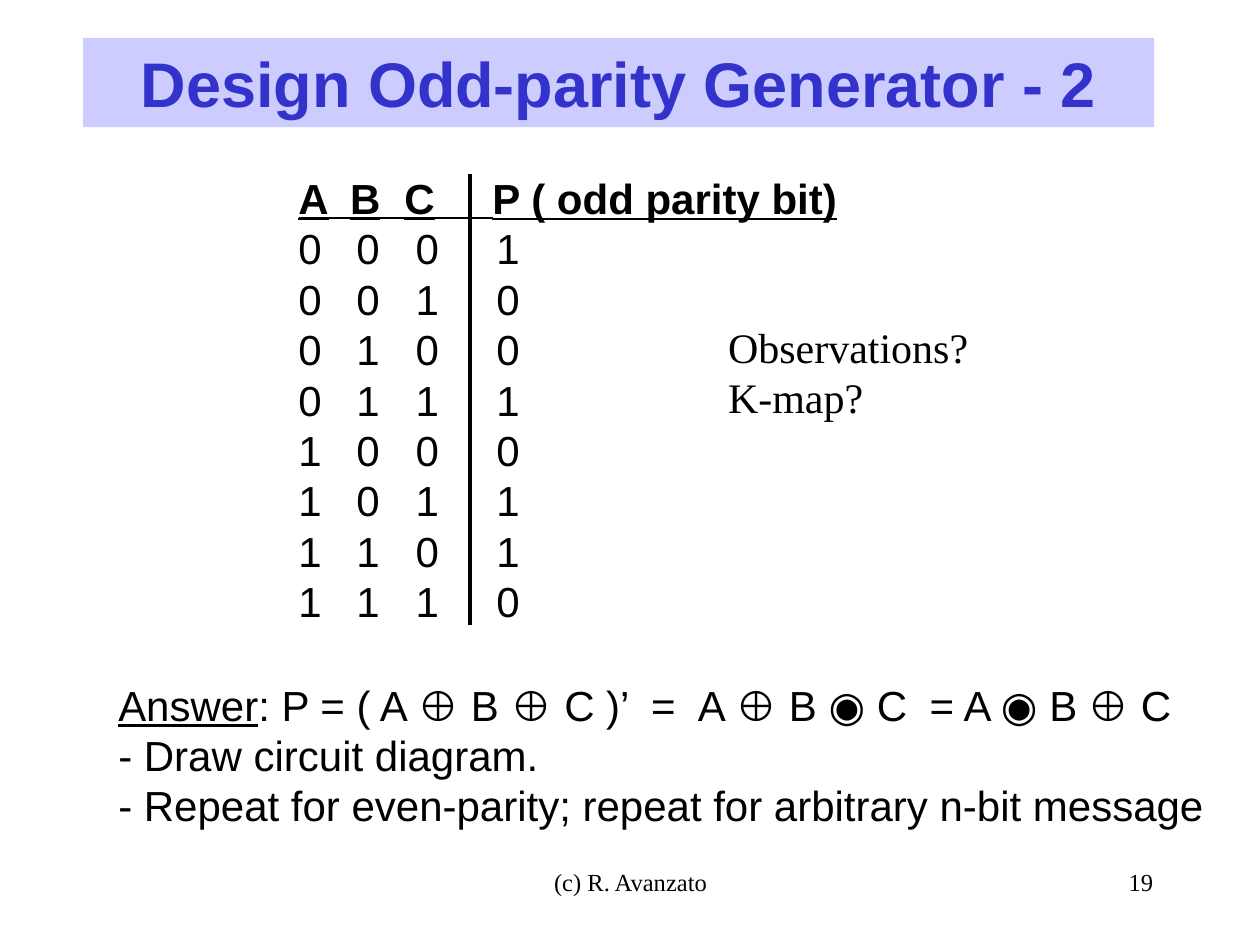
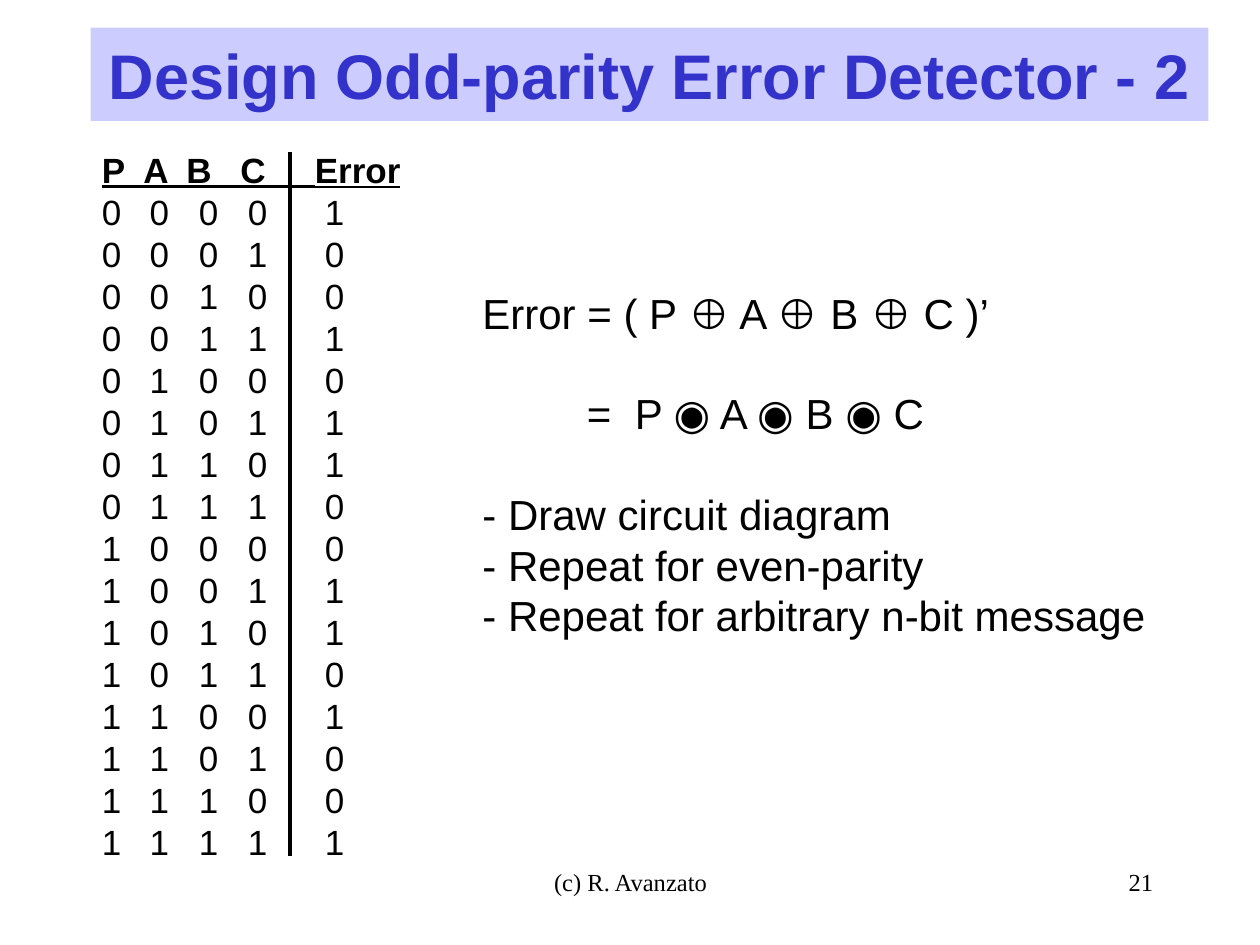
from dataclasses import dataclass
from itertools import product

from lxml import etree
from pptx import Presentation
from pptx.dml.color import RGBColor
from pptx.enum.shapes import MSO_CONNECTOR
from pptx.enum.text import MSO_ANCHOR, MSO_AUTO_SIZE, PP_ALIGN
from pptx.oxml.ns import qn
from pptx.util import Inches, Pt

LEFT, CENTER, RIGHT = PP_ALIGN.LEFT, PP_ALIGN.CENTER, PP_ALIGN.RIGHT
MIDDLE, TOP = MSO_ANCHOR.MIDDLE, MSO_ANCHOR.TOP
FIT_SHAPE, NO_FIT = MSO_AUTO_SIZE.SHAPE_TO_FIT_TEXT, MSO_AUTO_SIZE.NONE
STRAIGHT = MSO_CONNECTOR.STRAIGHT
TITLE_ONLY = 5


@dataclass(frozen=True)
class Theme:
    ink: RGBColor = RGBColor(0x00, 0x00, 0x00)
    title: RGBColor = RGBColor(0x33, 0x33, 0xCC)
    band: RGBColor = RGBColor(0xCC, 0xCC, 0xFF)
    sans: str = "Arial"
    serif: str = "Times New Roman"
    title_size: int = 36
    body_size: int = 24
    dense_size: int = 20
    footer_size: int = 14
    line_height: float = 1.2
    divider_width: float = 2.25
    underline_width: float = 1.25


THEME = Theme()
TEXT_INSET = 0.1
FOOTER = "(c) R. Avanzato"
FOOTER_BOX = (3.42, 6.83, 3.17, 0.5)
NUMBER_BOX = (7.17, 6.83, 2.08, 0.5)

SLIDES = [
    {
        "title": "Design Odd-parity Generator - 2",
        "title_box": (0.66, 0.3, 8.5, 0.71),
        "number": "19",
        "table": {
            "inputs": ["A", "B", "C"],
            "output": "P ( odd parity bit)",
            "box": (2.27, 1.32, 4.49, 3.7),
            "size": THEME.body_size,
            "header_tabs": [0.41, 0.84, 1.54],
            "row_tabs": [0.46, 0.93, 1.57],
            "divider": (3.73, 1.38, 4.96),
            "underline_y": 1.73,
        },
        "notes": [
            {
                "box": (0.84, 5.34, 8.91, 1.3),
                "font": THEME.sans,
                "lines": [
                    {
                        "lead": "Answer",
                        "text": ": P = ( A ⊕ B ⊕ C )’\t=\tA ⊕ B ◉ C\t= A ◉ B\t⊕ C",
                        "tabs": [4.23, 4.6, 6.44, 7.69],
                    },
                    {"text": "- Draw circuit diagram."},
                    {"text": "- Repeat for even-parity; repeat for arbitrary n-bit message"},
                ],
            },
            {
                "box": (5.68, 2.5, 2.2, 0.9),
                "font": THEME.serif,
                "lines": [{"text": "Observations?"}, {"text": "K-map?"}],
            },
        ],
    },
    {
        "title": "Design Odd-parity Error Detector - 2",
        "title_box": (0.72, 0.22, 8.87, 0.74),
        "number": "21",
        "table": {
            "inputs": ["P", "A", "B", "C"],
            "output": "Error",
            "box": (0.71, 1.13, 2.59, 5.77),
            "size": THEME.dense_size,
            "header_tabs": [0.33, 0.67, 1.1, 1.69],
            "row_tabs": [0.38, 0.77, 1.16, 1.77],
            "divider": (2.3, 1.21, 6.79),
            "underline_y": 1.48,
        },
        "notes": [
            {
                "box": (3.73, 2.23, 5.55, 2.9),
                "font": THEME.sans,
                "lines": [
                    {"text": "Error = ( P ⊕ A ⊕ B ⊕ C )’"},
                    {"text": "\t=\tP ◉ A ◉ B ◉ C", "tabs": [0.83, 1.21], "gap": True},
                    {"text": "- Draw circuit diagram", "gap": True},
                    {"text": "- Repeat for even-parity"},
                    {"text": "- Repeat for arbitrary n-bit message"},
                ],
            },
        ],
    },
]


def add_run(paragraph, text, font, size, color, bold, underline):
    run = paragraph.add_run()
    run.text = text
    run.font.name = font
    run.font.size = Pt(size)
    run.font.color.rgb = color
    run.font.bold = bold
    run.font.underline = underline


def set_tabs(paragraph, positions):
    tab_list = etree.SubElement(paragraph._p.get_or_add_pPr(), qn("a:tabLst"))
    for position in positions:
        etree.SubElement(tab_list, qn("a:tab"), pos=str(Inches(position)), algn="l")


def write_text(shape, lines, *, size, font=THEME.sans, color=THEME.ink, bold=False,
               align=LEFT, anchor=TOP, wrap=False, spaced=True):
    frame = shape.text_frame
    frame.word_wrap = wrap
    frame.auto_size = NO_FIT if wrap else FIT_SHAPE
    frame.vertical_anchor = anchor
    for index, line in enumerate(lines):
        paragraph = frame.add_paragraph() if index else frame.paragraphs[0]
        paragraph.alignment = align
        if spaced:
            paragraph.line_spacing = Pt(size * THEME.line_height)
        if line.get("gap"):
            paragraph.space_before = Pt(size * THEME.line_height)
        if "tabs" in line:
            set_tabs(paragraph, line["tabs"])
        if "lead" in line:
            add_run(paragraph, line["lead"], font, size, color, bold, True)
        add_run(paragraph, line["text"], font, size, color,
                line.get("bold", bold), line.get("underline", False))


def add_text(slide, box, lines, **text_format):
    shape = slide.shapes.add_textbox(*map(Inches, box))
    write_text(shape, lines, **text_format)


def add_line(slide, start, end, width):
    line = slide.shapes.add_connector(STRAIGHT, *map(Inches, (*start, *end)))
    line.line.color.rgb = THEME.ink
    line.line.width = Pt(width)
    etree.SubElement(line._element.spPr, qn("a:effectLst"))


def add_title(slide, text, box):
    title = slide.shapes.title
    title.left, title.top, title.width, title.height = map(Inches, box)
    title.fill.solid()
    title.fill.fore_color.rgb = THEME.band
    write_text(title, [{"text": text}], size=THEME.title_size, color=THEME.title,
               bold=True, align=CENTER, anchor=MIDDLE, wrap=True, spaced=False)


def add_footer(slide, number):
    for box, text, align in ((FOOTER_BOX, FOOTER, CENTER), (NUMBER_BOX, number, RIGHT)):
        add_text(slide, box, [{"text": text}], size=THEME.footer_size,
                 font=THEME.serif, align=align, wrap=True, spaced=False)


def add_truth_table(slide, table):
    header = "\t".join(table["inputs"] + [table["output"]])
    lines = [{"text": header, "tabs": table["header_tabs"], "bold": True, "underline": True}]
    for bits in product((0, 1), repeat=len(table["inputs"])):
        parity = 1 - sum(bits) % 2
        lines.append({"text": "\t".join(map(str, (*bits, parity))), "tabs": table["row_tabs"]})
    add_text(slide, table["box"], lines, size=table["size"])

    x, top, bottom = table["divider"]
    add_line(slide, (x, top), (x, bottom), THEME.divider_width)
    text_left, y = table["box"][0] + TEXT_INSET, table["underline_y"]
    output_left = text_left + table["header_tabs"][-1]
    add_line(slide, (text_left, y), (output_left, y), THEME.underline_width)


def main():
    presentation = Presentation()
    presentation.slide_width = Inches(10)
    presentation.slide_height = Inches(7.5)
    for content in SLIDES:
        slide = presentation.slides.add_slide(presentation.slide_layouts[TITLE_ONLY])
        add_footer(slide, content["number"])
        add_title(slide, content["title"], content["title_box"])
        add_truth_table(slide, content["table"])
        for note in content["notes"]:
            add_text(slide, note["box"], note["lines"], size=THEME.body_size, font=note["font"])
    presentation.save("out.pptx")


if __name__ == "__main__":
    main()
